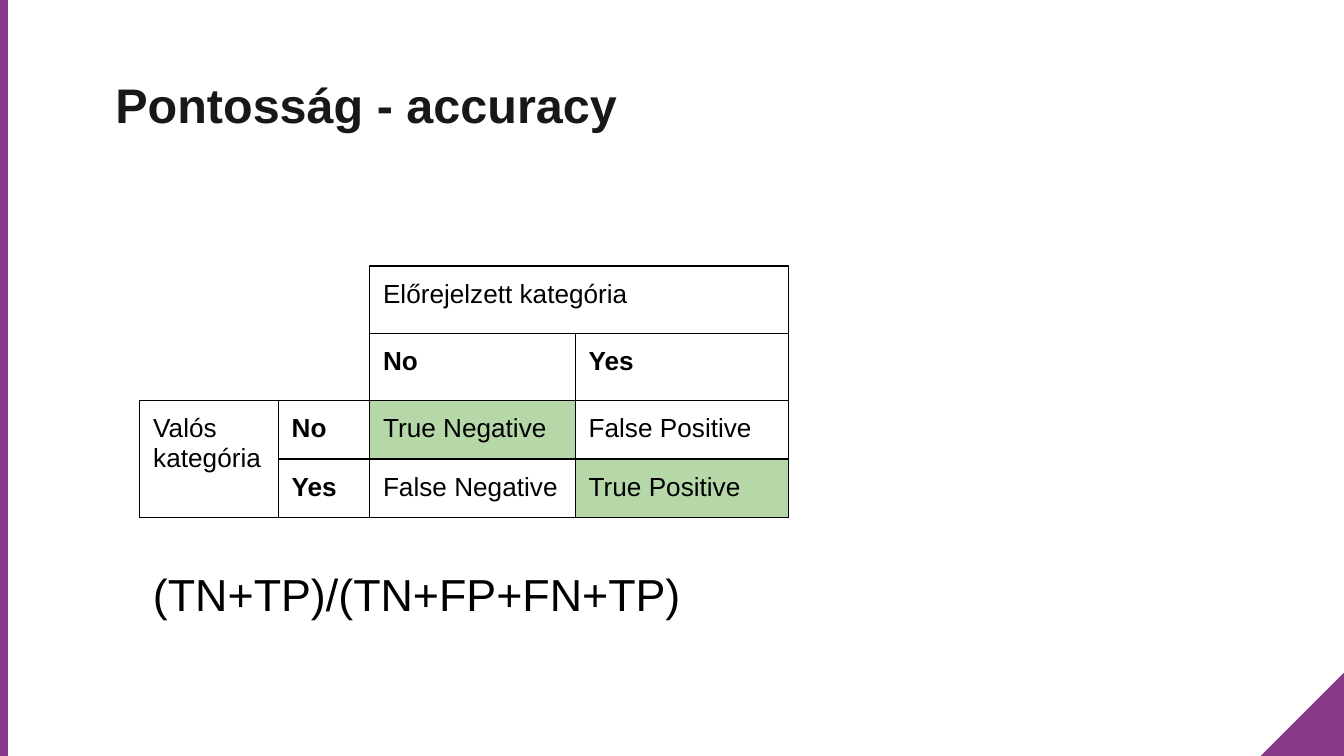
from lxml import etree
from pptx import Presentation
from pptx.dml.color import RGBColor
from pptx.enum import shapes, text
from pptx.oxml import ns
from pptx.util import Inches, Pt

PURPLE = RGBColor(0x88, 0x39, 0x8A)
GREEN = RGBColor(0xB6, 0xD7, 0xA8)
INK = RGBColor(0x18, 0x18, 0x18)
BLACK = RGBColor(0, 0, 0)
WIDTH = 10
HEIGHT = WIDTH * 9 / 16
NO_STYLE = "{2D5ABB26-0587-4C30-8999-92F81FD0307C}"
COLS = [1.03, 0.68, 1.53, 1.59]
ROWS = [0.43, 0.43, 0.42, 0.42]
CELLS = [
    ["", "", "Előrejelzett kategória", ""],
    ["", "", "No", "Yes"],
    ["Valós kategória", "No", "True Negative", "False Positive"],
    ["", "Yes", "False Negative", "True Positive"],
]


def format_text(tf, size, color, bold=False):
    for p in tf.paragraphs:
        for r in p.runs:
            r.font.name = "Arial"
            r.font.size = Pt(size)
            r.font.bold = bold
            r.font.color.rgb = color


def add_block(s, kind, x, y, w, h):
    sp = s.shapes.add_shape(kind, Inches(x), Inches(y), Inches(w), Inches(h))
    sp.shadow.inherit = False
    sp.fill.solid()
    sp.fill.fore_color.rgb = PURPLE
    sp.line.fill.background()
    return sp


def add_decoration(s, x, y, w, h):
    side = 0.62
    corner = add_block(s, shapes.MSO_SHAPE.RIGHT_TRIANGLE,
                       x + w - side, y + h - side, side, side)
    corner._element.spPr.find(ns.qn("a:xfrm")).set("flipH", "1")
    add_block(s, shapes.MSO_SHAPE.RECTANGLE, x, y, 0.06, h)


def add_text(s, x, y, w, h, content, size, color, bold=False):
    sp = s.shapes.add_textbox(Inches(x), Inches(y), Inches(w), Inches(h))
    tf = sp.text_frame
    tf.word_wrap = True
    tf.vertical_anchor = text.MSO_ANCHOR.TOP
    tf.margin_left = tf.margin_right = Inches(0.1)
    tf.margin_top = tf.margin_bottom = Inches(0.1)
    tf.text = content
    format_text(tf, size, color, bold)


def add_borders(cell, sides):
    tcPr = cell._tc.get_or_add_tcPr()
    for side in sides:
        ln = etree.SubElement(tcPr, ns.qn(f"a:ln{side}"), w=str(Pt(0.75)))
        fill = etree.SubElement(ln, ns.qn("a:solidFill"))
        etree.SubElement(fill, ns.qn("a:srgbClr"), val=str(BLACK))


def cell_sides(row, col):
    if row >= 2 or col >= 2:
        return "LRTB"
    return ("R" if col == 1 else "") + ("B" if row == 1 else "")


def add_confusion_matrix(s, x, y, w, h):
    frame = s.shapes.add_table(len(ROWS), len(COLS), Inches(x), Inches(y),
                               Inches(w), Inches(h))
    table = frame.table
    table.first_row = table.horz_banding = False
    table._tbl.tblPr.find(ns.qn("a:tableStyleId")).text = NO_STYLE
    for column, width in zip(table.columns, COLS):
        column.width = Inches(width)
    for row, height in zip(table.rows, ROWS):
        row.height = Inches(height)
    frame.width, frame.height = Inches(w), Inches(h)
    for i, row in enumerate(CELLS):
        for j, content in enumerate(row):
            cell = table.cell(i, j)
            add_borders(cell, cell_sides(i, j))
            if i >= 2 and i == j:
                cell.fill.solid()
                cell.fill.fore_color.rgb = GREEN
            else:
                cell.fill.background()
            cell.margin_left = cell.margin_right = Inches(0.1)
            cell.margin_top = cell.margin_bottom = Inches(0.1)
            if content:
                cell.text_frame.text = content
                format_text(cell.text_frame, 14, BLACK, content in ("No", "Yes"))
    table.cell(0, 2).merge(table.cell(0, 3))
    table.cell(2, 0).merge(table.cell(3, 0))
    for i, j in ((2, 2), (3, 3)):
        assert table.cell(i, j).text_frame.text


def main():
    prs = Presentation()
    prs.slide_width, prs.slide_height = Inches(WIDTH), Inches(HEIGHT)
    s = prs.slides.add_slide(prs.slide_layouts[6])
    add_decoration(s, 0, 0, WIDTH, HEIGHT)
    add_text(s, 0.76, 0.46, 4.83, 0.94, "Pontosság - accuracy", 26, INK, True)
    add_confusion_matrix(s, 1.04, 1.98, 3.28, 3.28)
    add_text(s, 1.04, 4.12, 4.14, 0.76, "(TN+TP)/(TN+FP+FN+TP)", 24, BLACK)
    prs.save("out.pptx")


if __name__ == "__main__":
    main()
